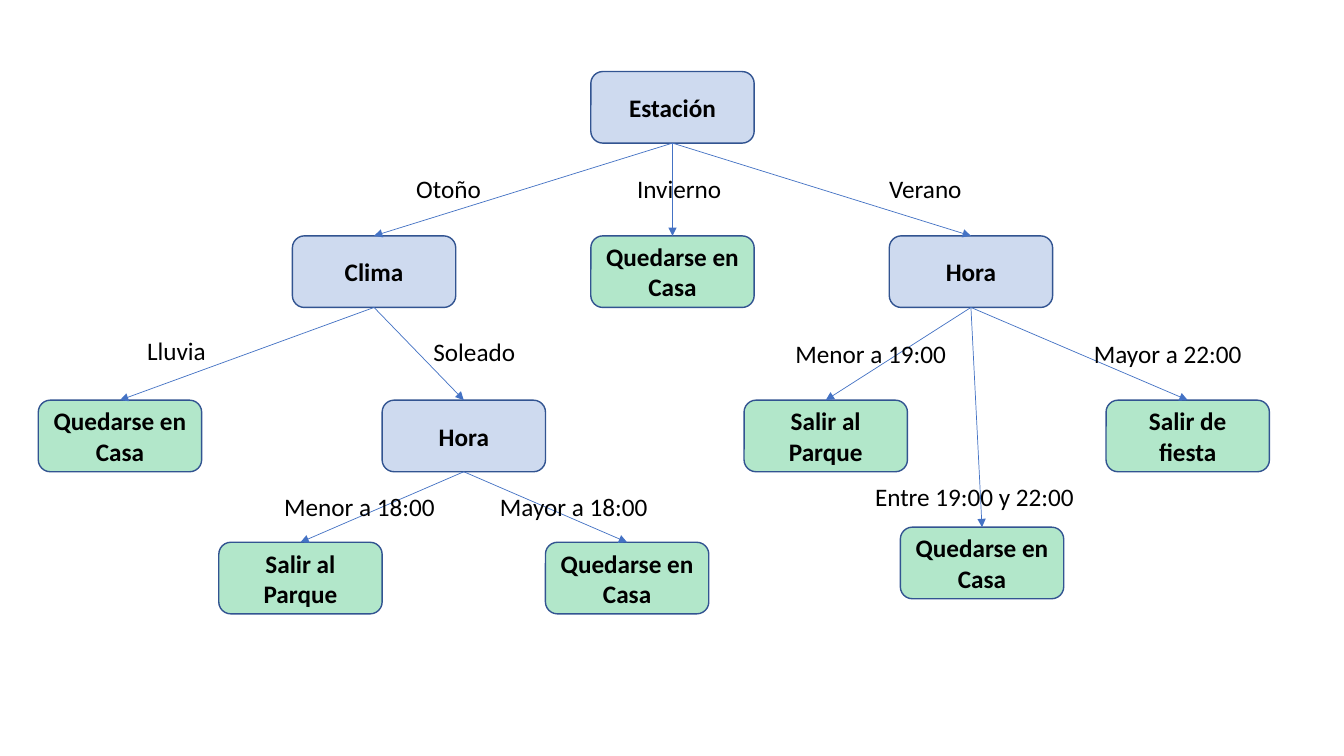
from dataclasses import dataclass

from lxml.etree import SubElement
from pptx import Presentation
from pptx.dml.color import RGBColor
from pptx.enum.shapes import MSO_CONNECTOR, MSO_SHAPE
from pptx.enum.text import MSO_ANCHOR, MSO_AUTO_SIZE, PP_ALIGN
from pptx.oxml.ns import qn
from pptx.util import Inches, Pt


@dataclass(frozen=True)
class Theme:
    font: str = "Calibri"
    size: int = 18
    ink: str = "000000"
    test: tuple = ("4472C4", 26)  # colour, opacity in percent
    leaf: tuple = ("00B050", 30)
    edge: str = "325491"
    arrow: str = "4472C4"


THEME = Theme()
BOX_W, BOX_H = 1.62, 0.71
LABEL_H = 0.4
ROWS = (0.71, 2.34, 3.97, 5.38)

# Boxes: key -> text, left, top, look
NODES = {
    "season": ("Estación", 5.86, ROWS[0], THEME.test),
    "winter": ("Quedarse en Casa", 5.86, ROWS[1], THEME.leaf),
    "autumn": ("Clima", 2.9, ROWS[1], THEME.test),
    "summer": ("Hora", 8.82, ROWS[1], THEME.test),
    "rain": ("Quedarse en Casa", 0.38, ROWS[2], THEME.leaf),
    "sun": ("Hora", 3.79, ROWS[2], THEME.test),
    "early": ("Salir al Parque", 7.38, ROWS[2], THEME.leaf),
    "late": ("Salir de fiesta", 10.97, ROWS[2], THEME.leaf),
    "middle": ("Quedarse en Casa", 8.93, 5.23, THEME.leaf),
    "before": ("Salir al Parque", 2.17, ROWS[3], THEME.leaf),
    "after": ("Quedarse en Casa", 5.41, ROWS[3], THEME.leaf),
}

# Branches: parent, child, label, label left, top, width
EDGES = (
    ("season", "autumn", "Otoño", 4.03, 1.67, 1.62),
    ("season", "winter", "Invierno", 6.22, 1.67, 1.62),
    ("season", "summer", "Verano", 8.72, 1.67, 1.62),
    ("autumn", "rain", "Lluvia", 1.36, 3.28, 1.62),
    ("autumn", "sun", "Soleado", 4.2, 3.29, 1.62),
    ("summer", "early", "Menor a 19:00", 7.79, 3.31, 1.95),
    ("summer", "late", "Mayor a 22:00", 10.75, 3.31, 1.84),
    ("summer", "middle", "Entre 19:00 y 22:00", 8.58, 4.73, 2.32),
    ("sun", "before", "Menor a 18:00", 2.72, 4.83, 1.8),
    ("sun", "after", "Mayor a 18:00", 4.86, 4.83, 1.96),
)


def rgb(code):
    return RGBColor.from_string(code)


def write(frame, text, bold=False, align=PP_ALIGN.LEFT):
    frame.word_wrap = True
    para = frame.paragraphs[0]
    para.text = text
    para.alignment = align
    font = para.font
    font.name, font.size, font.bold = THEME.font, Pt(THEME.size), bold
    font.color.rgb = rgb(THEME.ink)


def add_box(slide, text, left, top, look):
    box = slide.shapes.add_shape(
        MSO_SHAPE.ROUNDED_RECTANGLE,
        Inches(left), Inches(top), Inches(BOX_W), Inches(BOX_H))
    box.shadow.inherit = False
    color, alpha = look
    box.fill.solid()
    box.fill.fore_color.rgb = rgb(color)
    tint = box.fill._xPr.find(qn("a:solidFill"))[0]
    SubElement(tint, qn("a:alpha"), val=str(alpha * 1000))
    box.line.color.rgb = rgb(THEME.edge)
    box.line.width = Pt(1)
    box.text_frame.vertical_anchor = MSO_ANCHOR.MIDDLE
    write(box.text_frame, text, True, PP_ALIGN.CENTER)
    return box


def add_arrow(slide, parent, child):
    arrow = slide.shapes.add_connector(MSO_CONNECTOR.STRAIGHT, 0, 0, 0, 0)
    arrow.begin_connect(parent, 2)
    arrow.end_connect(child, 0)
    arrow.line.color.rgb = rgb(THEME.arrow)
    arrow.line.width = Pt(0.5)
    SubElement(arrow.line._get_or_add_ln(), qn("a:tailEnd"), type="triangle")
    SubElement(arrow._element.spPr, qn("a:effectLst"))


def add_label(slide, text, left, top, width):
    label = slide.shapes.add_textbox(
        Inches(left), Inches(top), Inches(width), Inches(LABEL_H))
    write(label.text_frame, text)
    label.text_frame.auto_size = MSO_AUTO_SIZE.SHAPE_TO_FIT_TEXT


def main():
    deck = Presentation()
    deck.slide_width, deck.slide_height = Inches(13.33), Inches(7.5)
    slide = deck.slides.add_slide(deck.slide_layouts[6])

    # Decision boxes and outcomes
    boxes = {key: add_box(slide, *node) for key, node in NODES.items()}

    # Branches with their conditions
    for parent, child, *label in EDGES:
        add_arrow(slide, boxes[parent], boxes[child])
        add_label(slide, *label)

    deck.save("out.pptx")


if __name__ == "__main__":
    main()
